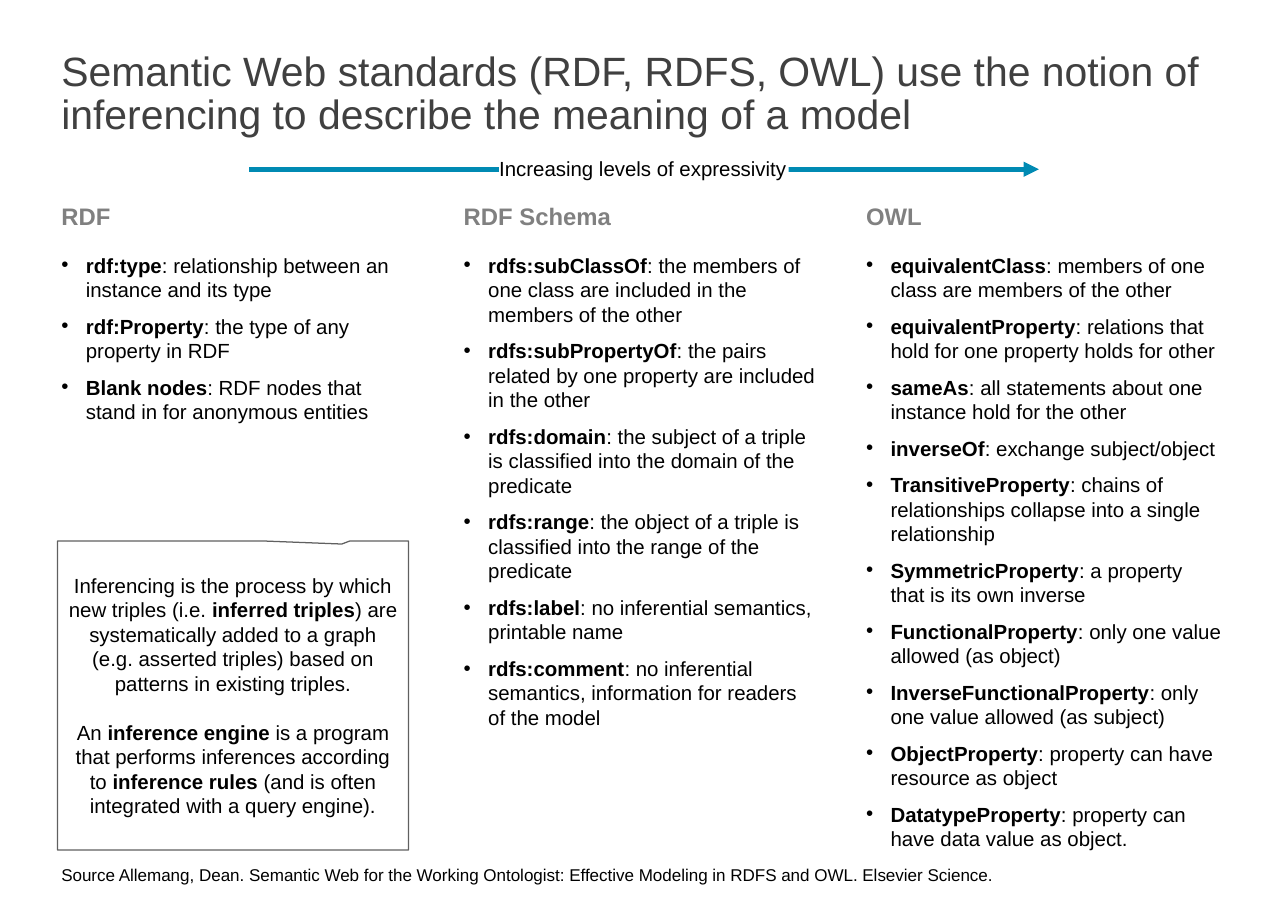
from lxml.etree import SubElement
from pptx import Presentation
from pptx.dml.color import RGBColor
from pptx.enum.shapes import MSO_CONNECTOR, MSO_SHAPE, PP_PLACEHOLDER
from pptx.enum.text import MSO_ANCHOR, MSO_AUTO_SIZE, PP_ALIGN
from pptx.oxml.ns import qn
from pptx.util import Emu, Pt

PX = 9144  # 100 px to the inch
COLORS = {
    "title": "404040",
    "heading": "808080",
    "text": "000000",
    "arrow": "008AB3",
    "border": "606060",
    "paper": "FFFFFF",
}
COLUMNS = [
    ("RDF", [
        "**rdf:type**: relationship between an instance and its type",
        "**rdf:Property**: the type of any property in RDF",
        "**Blank nodes**: RDF nodes that stand in for anonymous entities",
    ]),
    ("RDF Schema", [
        "**rdfs:subClassOf**: the members of one class are included in the members of the other",
        "**rdfs:subPropertyOf**: the pairs related by one property are included in the other",
        "**rdfs:domain**: the subject of a triple is classified into the domain of the predicate",
        "**rdfs:range**: the object of a triple is classified into the range of the predicate",
        "**rdfs:label**: no inferential semantics, printable name",
        "**rdfs:comment**: no inferential semantics, information for readers of the model",
    ]),
    ("OWL", [
        "**equivalentClass**: members of one class are members of the other",
        "**equivalentProperty**: relations that hold for one property holds for other",
        "**sameAs**: all statements about one instance hold for the other",
        "**inverseOf**: exchange subject/object",
        "**TransitiveProperty**: chains of relationships collapse into a single relationship",
        "**SymmetricProperty**: a property that is its own inverse",
        "**FunctionalProperty**: only one value allowed (as object)",
        "**InverseFunctionalProperty**: only one value allowed (as subject)",
        "**ObjectProperty**: property can have resource as object",
        "**DatatypeProperty**: property can have data value as object.",
    ]),
]
INFERENCING = [
    "Inferencing is the process by which new triples (i.e. **inferred triples**) are "
    "systematically added to a graph (e.g. asserted triples) based on patterns in existing triples.",
    "An **inference engine** is a program that performs inferences according to "
    "**inference rules** (and is often integrated with a query engine).",
]


def place(shape, left, top, width, height):
    shape.left, shape.top = Emu(left * PX), Emu(top * PX)
    shape.width, shape.height = Emu(width * PX), Emu(height * PX)


def write(shape, paragraphs, size=12, color="text", align=PP_ALIGN.LEFT, anchor=MSO_ANCHOR.TOP,
          margin=0, gap=0, line_spacing=1.0, hanging=0, wrap=True):
    """Fill a shape with paragraphs; text between ** marks is bold, gap separates paragraphs."""
    frame = shape.text_frame
    frame.auto_size = MSO_AUTO_SIZE.NONE
    frame.word_wrap = wrap
    frame.vertical_anchor = anchor
    frame.margin_left = frame.margin_right = Emu(margin * PX)
    frame.margin_top = frame.margin_bottom = Emu(margin * PX)
    for number, text in enumerate(paragraphs):
        paragraph = frame.add_paragraph() if number else frame.paragraphs[0]
        paragraph.alignment = align
        paragraph.line_spacing = line_spacing
        paragraph.space_before = Pt(gap if number else 0)
        if hanging:
            properties = paragraph._p.get_or_add_pPr()
            properties.set("marL", str(hanging * PX))
            properties.set("indent", str(-hanging * PX))
        for position, part in enumerate(text.split("**")):
            if part:
                run = paragraph.add_run()
                run.text = part
                run.font.name = "Arial"
                run.font.size = Pt(size)
                run.font.bold = position % 2 == 1
                run.font.color.rgb = RGBColor.from_string(COLORS[color])


presentation = Presentation()
presentation.slide_width, presentation.slide_height = Emu(1050 * PX), Emu(750 * PX)
comparison = presentation.slide_layouts.get_by_name("Comparison")
slide = presentation.slides.add_slide(comparison)
shapes = slide.shapes

# Title
place(shapes.title, 50, 42, 950, 83)
write(shapes.title, ["Semantic Web standards (RDF, RDFS, OWL) use the notion of "
                     "inferencing to describe the meaning of a model"],
      size=24, color="title", line_spacing=0.88)

# The layout has two columns: add a heading and a list for the third
for index in (3, 4):
    shapes.clone_placeholder(comparison.placeholders.get(idx=index))
headings = [p for p in slide.placeholders if p.placeholder_format.type == PP_PLACEHOLDER.BODY]
lists = [p for p in slide.placeholders if p.placeholder_format.type == PP_PLACEHOLDER.OBJECT]
for column, (name, terms) in enumerate(COLUMNS):
    left = 50 + 328 * column
    place(headings[column], left, 164, 283, 40)
    write(headings[column], [f"**{name}**"], size=14, color="heading")
    place(lists[column], left, 206, 290, 486)
    write(lists[column], terms, gap=7, hanging=20)

# Expressivity arrow and its label
arrow = shapes.add_connector(MSO_CONNECTOR.STRAIGHT, 203 * PX, 138 * PX, 847 * PX, 138 * PX)
arrow.line.color.rgb = RGBColor.from_string(COLORS["arrow"])
arrow.line.width = Pt(3)
SubElement(arrow.line._get_or_add_ln(), qn("a:tailEnd"), type="triangle")
SubElement(arrow._element.spPr, qn("a:effectLst"))

label = shapes.add_textbox(407 * PX, 127 * PX, 236 * PX, 20 * PX)
label.fill.solid()
label.fill.fore_color.rgb = RGBColor.from_string(COLORS["paper"])
write(label, ["Increasing levels of expressivity"], wrap=False)

# Inferencing callout
callout = shapes.add_shape(MSO_SHAPE.RECTANGULAR_CALLOUT, 47 * PX, 441 * PX, 286 * PX, 252 * PX)
callout.adjustments[0], callout.adjustments[1] = 0.31, -0.49
callout.shadow.inherit = False
callout.fill.solid()
callout.fill.fore_color.rgb = RGBColor.from_string(COLORS["paper"])
callout.line.color.rgb = RGBColor.from_string(COLORS["border"])
callout.line.width = Pt(0.75)
write(callout, INFERENCING, align=PP_ALIGN.CENTER, anchor=MSO_ANCHOR.MIDDLE, margin=8, gap=14.3)

# Source line
source = shapes.add_textbox(50 * PX, 705 * PX, 950 * PX, 16 * PX)
write(source, ["Source Allemang, Dean. Semantic Web for the Working Ontologist: "
               "Effective Modeling in RDFS and OWL. Elsevier Science."], size=10)

presentation.save("out.pptx")
